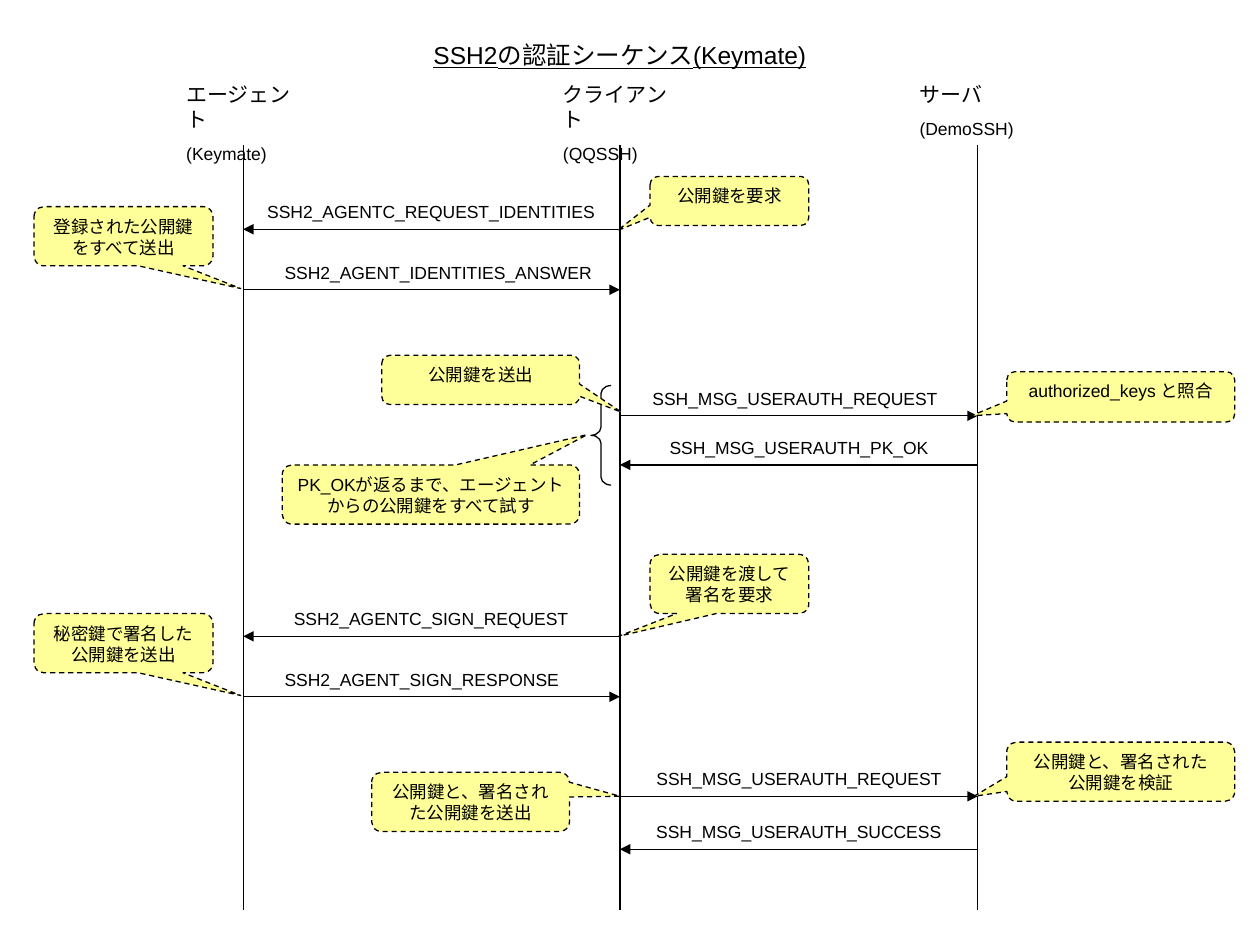
from dataclasses import dataclass

from pptx import Presentation
from pptx.dml.color import RGBColor
from pptx.enum.dml import MSO_LINE
from pptx.enum.shapes import MSO_CONNECTOR, MSO_SHAPE
from pptx.enum.text import MSO_ANCHOR, PP_ALIGN
from pptx.oxml.ns import qn
from pptx.util import Pt
from lxml import etree

PX = 9144  # 100 px to the inch
DASH = MSO_LINE.DASH
STRAIGHT = MSO_CONNECTOR.STRAIGHT
CALLOUT = MSO_SHAPE.ROUNDED_RECTANGULAR_CALLOUT
BRACE = MSO_SHAPE.LEFT_BRACE
LEFT, CENTER = PP_ALIGN.LEFT, PP_ALIGN.CENTER
TOP, MIDDLE = MSO_ANCHOR.TOP, MSO_ANCHOR.MIDDLE


@dataclass
class Theme:
    ink: RGBColor = RGBColor(0x00, 0x00, 0x00)
    note_fill: RGBColor = RGBColor(0xFF, 0xFF, 0x99)
    font: str = "Arial"
    title: int = 14
    heading: int = 12
    body: int = 10
    line: float = 0.75
    space_before: float = 5 / 8  # share of the type size


theme = Theme()


def write(shape, text, sizes=(theme.body,), align=LEFT, anchor=TOP,
          wrap=True, underline=None, spaced=False):
    """Fill a shape with one paragraph per line; the last size carries on."""
    frame = shape.text_frame
    frame.word_wrap = wrap
    frame.vertical_anchor = anchor
    for index, line in enumerate(text.split("\n")):
        paragraph = frame.add_paragraph() if index else frame.paragraphs[0]
        size = sizes[min(index, len(sizes) - 1)]
        paragraph.alignment = align
        if spaced:
            paragraph.space_before = Pt(size * theme.space_before)
        run = paragraph.add_run()
        run.text = line
        run.font.name = theme.font
        run.font.size = Pt(size)
        run.font.underline = underline
        run.font.color.rgb = theme.ink


def add_line(x1, y1, x2, y2, arrow=False):
    connector = slide.shapes.add_connector(
        STRAIGHT, x1 * PX, y1 * PX, x2 * PX, y2 * PX)
    connector.line.color.rgb = theme.ink
    connector.line.width = Pt(theme.line)
    properties = connector._element.spPr
    if arrow:
        outline = connector.line._get_or_add_ln()
        etree.SubElement(outline, qn("a:tailEnd"), type="triangle")
    etree.SubElement(properties, qn("a:effectLst"))


presentation = Presentation()
presentation.slide_width = 1000 * PX
presentation.slide_height = 750 * PX
slide = presentation.slides.add_slide(presentation.slide_layouts[6])

# Title
title = slide.shapes.add_textbox(67 * PX, 24 * PX, 850 * PX, 39 * PX)
write(title, "SSH2の認証シーケンス(Keymate)", sizes=(theme.title,),
      align=CENTER, anchor=MIDDLE, underline=True)

# Participants and their lifelines
AGENT, CLIENT, SERVER = 193, 492, 776
participants = [
    (AGENT, 138, 110, 76, "エージェント\n(Keymate)"),
    (CLIENT, 437, 110, 76, "クライアント\n(QQSSH)"),
    (SERVER, 720, 102, 56, "サーバ\n(DemoSSH)"),
]
for lifeline, left, width, height, name in participants:
    heading = slide.shapes.add_textbox(
        left * PX, 60 * PX, width * PX, height * PX)
    write(heading, name, sizes=(theme.heading, theme.body), spaced=True)
    add_line(lifeline, 115, lifeline, 722)

# Messages: sender, receiver, arrow height, label left and width, alignment
messages = [
    (CLIENT, AGENT, 182, 192, 300, CENTER, "SSH2_AGENTC_REQUEST_IDENTITIES"),
    (AGENT, CLIENT, 230, 216, 268, LEFT, "SSH2_AGENT_IDENTITIES_ANSWER"),
    (CLIENT, SERVER, 330, 508, 252, LEFT, "SSH_MSG_USERAUTH_REQUEST"),
    (SERVER, CLIENT, 369, 508, 252, CENTER, "SSH_MSG_USERAUTH_PK_OK"),
    (CLIENT, AGENT, 505, 216, 252, CENTER, "SSH2_AGENTC_SIGN_REQUEST"),
    (AGENT, CLIENT, 553, 216, 268, LEFT, "SSH2_AGENT_SIGN_RESPONSE"),
    (CLIENT, SERVER, 632, 508, 252, CENTER, "SSH_MSG_USERAUTH_REQUEST"),
    (SERVER, CLIENT, 674, 511, 252, LEFT, "SSH_MSG_USERAUTH_SUCCESS"),
]
for sender, receiver, y, left, width, align, text in messages:
    add_line(sender, y, receiver, y, arrow=True)
    centered = align == CENTER
    height = 24 if centered else 27
    top = y - 26 if centered else y - 27
    label = slide.shapes.add_textbox(
        left * PX, top * PX, width * PX, height * PX)
    write(label, text, align=align, anchor=MIDDLE if centered else TOP,
          wrap=not centered, spaced=not centered)

# Brace around the repeated key trial
brace = slide.shapes.add_shape(BRACE, 469 * PX, 306 * PX, 16 * PX, 79 * PX)
brace.shadow.inherit = False
brace.fill.background()
brace.line.color.rgb = theme.ink
brace.line.width = Pt(theme.line)
brace.adjustments[0] = 0.4

# Notes: left, top, width, height, tip of the pointer
notes = [
    (516, 140, 126, 39, 490, 183, "公開鍵を要求"),
    (27, 164, 142, 47, 191, 229, "登録された公開鍵をすべて送出"),
    (303, 282, 157, 39, 493, 327, "公開鍵を送出"),
    (799, 295, 181, 40, 771, 330, "authorized_keys と照合"),
    (224, 369, 236, 47, 466, 345,
     "PK_OKが返るまで、エージェントからの公開鍵をすべて試す"),
    (516, 440, 126, 47, 491, 505, "公開鍵を渡して署名を要求"),
    (27, 487, 142, 47, 191, 552, "秘密鍵で署名した公開鍵を送出"),
    (295, 613, 157, 47, 492, 632, "公開鍵と、署名された公開鍵を送出"),
    (799, 589, 181, 47, 773, 632, "公開鍵と、署名された\n公開鍵を検証"),
]
for left, top, width, height, tip_x, tip_y, text in notes:
    note = slide.shapes.add_shape(
        CALLOUT, left * PX, top * PX, width * PX, height * PX)
    note.shadow.inherit = False
    note.adjustments[0] = (tip_x - left) / width - 0.5
    note.adjustments[1] = (tip_y - top) / height - 0.5
    note.fill.solid()
    note.fill.fore_color.rgb = theme.note_fill
    note.line.color.rgb = theme.ink
    note.line.width = Pt(theme.line)
    note.line.dash_style = DASH
    write(note, text, align=CENTER)

presentation.save("out.pptx")
